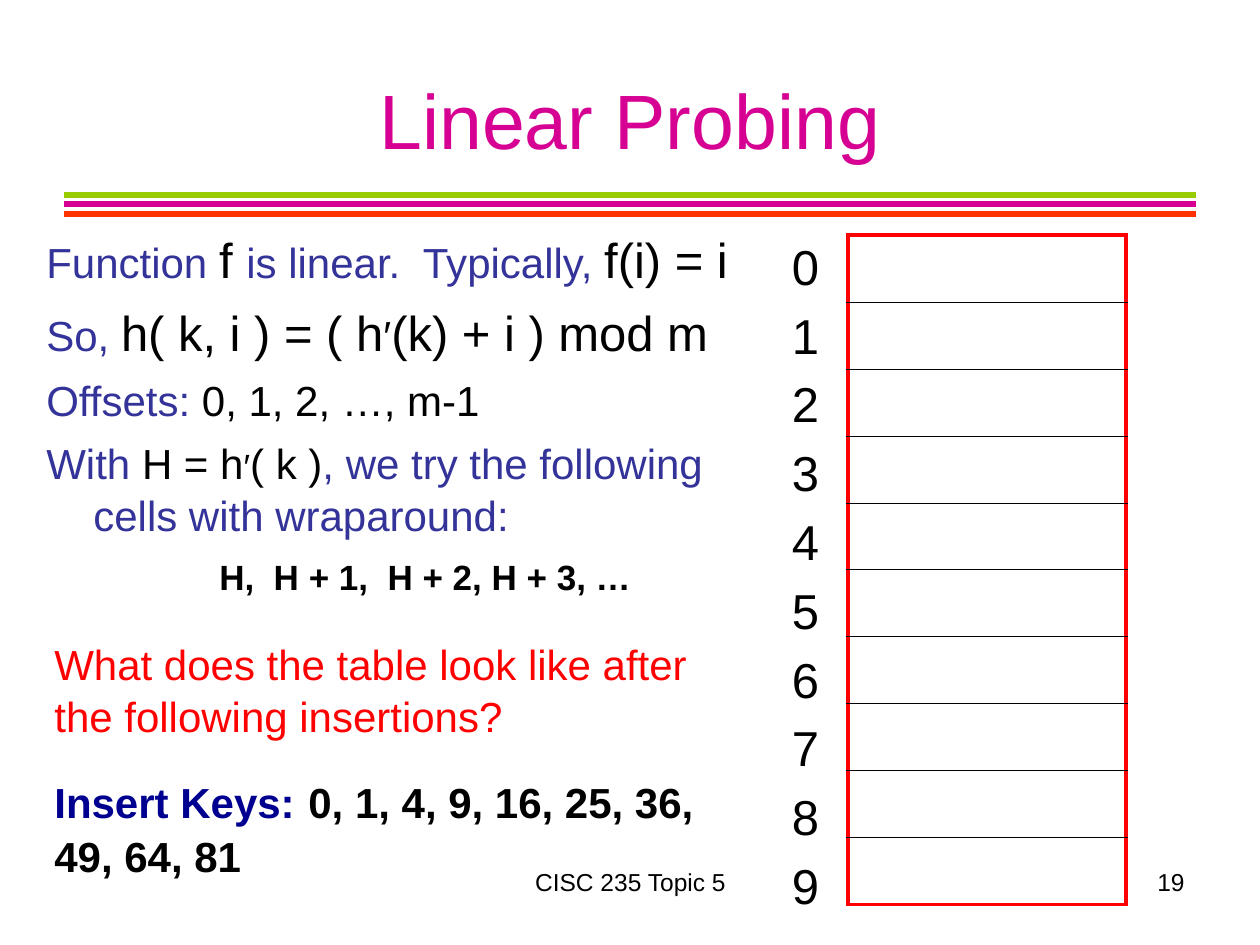
import pptx
import pptx.util
import pptx.dml.color
import pptx.enum.shapes
import pptx.enum.text
import pptx.oxml
import pptx.oxml.ns

PX_PER_INCH = 126
FONT = "Arial"
COLORS = {
    "magenta": "D60093", "orange": "FF3300", "green": "99CC00",
    "indigo": "333399", "navy": "000090", "red": "FF0000", "black": "000000",
}
ALIGN = pptx.enum.text.PP_ALIGN
ANCHOR = pptx.enum.text.MSO_ANCHOR

# Table grid
SLOTS = 10
TABLE_TOP, ROW_H = 235, 67


def px(n):
    return pptx.util.Emu(round(n * 914400 / PX_PER_INCH))


def rgb(name):
    return pptx.dml.color.RGBColor.from_string(COLORS[name])


def set_attrs(obj, values):
    for name, value in values.items():
        setattr(obj, name, value)


def add_runs(p, runs, **fmt):
    """Fill a paragraph with (text, size, color[, bold]) runs."""
    set_attrs(p, fmt)
    for text, size, color, *bold in runs:
        r = p.add_run()
        r.text = text
        set_attrs(r.font, {"name": FONT, "size": pptx.util.Pt(size),
                           "bold": bool(bold and bold[0])})
        r.font.color.rgb = rgb(color)


def set_indent(p, left, first):
    pPr = p._p.get_or_add_pPr()
    pPr.set("marL", str(px(left)))
    pPr.set("indent", str(px(first)))


def add_text(s, box, paragraphs, indents=None, **fmt):
    """Add a wrapped text box; each paragraph is (space before, runs)."""
    tf = s.shapes.add_textbox(*map(px, box)).text_frame
    tf.word_wrap = True
    for i, (before, runs) in enumerate(paragraphs):
        p = tf.paragraphs[0] if i == 0 else tf.add_paragraph()
        add_runs(p, runs, space_before=pptx.util.Pt(before), **fmt)
        if indents:
            set_indent(p, *indents[i])


def add_title(s, text):
    sp = s.shapes.title
    set_attrs(sp, {"left": px(63), "top": px(38), "width": px(1134), "height": px(158)})
    tf = sp.text_frame
    set_attrs(tf, {"vertical_anchor": ANCHOR.MIDDLE, "word_wrap": True,
                   "auto_size": pptx.enum.text.MSO_AUTO_SIZE.NONE})
    add_runs(tf.paragraphs[0], [(text, 44, "magenta")],
             alignment=ALIGN.CENTER, line_spacing=1.04)


def add_rule(s, y, color):
    line = s.shapes.add_connector(pptx.enum.shapes.MSO_CONNECTOR.STRAIGHT,
                                  px(64), px(y), px(1196), px(y))
    line.line.color.rgb = rgb(color)
    line.line.width = pptx.util.Pt(3)
    line._element.spPr.append(pptx.oxml.parse_xml(
        f'<a:effectLst {pptx.oxml.ns.nsdecls("a")}/>'))


def add_column(s, left, width):
    """Add an unstyled one-column table and return its cells."""
    table = s.shapes.add_table(SLOTS, 1, px(left), px(TABLE_TOP), px(width),
                               px(SLOTS * ROW_H)).table
    set_attrs(table, {"first_row": False, "horz_banding": False})
    cells = [table.cell(i, 0) for i in range(SLOTS)]
    for cell in cells:
        cell.fill.background()
        set_attrs(cell, {"margin_left": px(3), "margin_right": px(10),
                         "margin_top": px(6), "margin_bottom": px(4)})
    return cells


def set_borders(cell, borders):
    """Apply (side, color, points) borders, given in L, R, T, B order."""
    tcPr = cell._tc.get_or_add_tcPr()
    for i, (side, color, points) in enumerate(borders):
        tcPr.insert(i, pptx.oxml.parse_xml(
            f'<a:ln{side} {pptx.oxml.ns.nsdecls("a")} w="{pptx.util.Pt(points)}">'
            f'<a:solidFill><a:srgbClr val="{COLORS[color]}"/></a:solidFill>'
            f'</a:ln{side}>'))


def add_hash_table(s):
    # Slot numbers
    for i, cell in enumerate(add_column(s, 789, 59)):
        add_runs(cell.text_frame.paragraphs[0], [(str(i), 28, "black")])
    # Empty slots: red frame with thin dividers
    frame, divider = ("red", 2.21), ("black", 0.45)
    for i, cell in enumerate(add_column(s, 848, 278)):
        top = frame if i == 0 else divider
        bottom = frame if i == SLOTS - 1 else divider
        set_borders(cell, [("L", *frame), ("R", *frame), ("T", *top), ("B", *bottom)])


def main():
    prs = pptx.Presentation()
    prs.slide_width, prs.slide_height = px(1260), px(945)
    s = prs.slides.add_slide(prs.slide_layouts[5])

    # Heading and rules
    for y, color in ((204, "magenta"), (214, "orange"), (195, "green")):
        add_rule(s, y, color)
    add_title(s, "Linear Probing")

    # Footer
    add_text(s, (431, 861, 399, 66), [(0, [("CISC 235 Topic 5", 14, "black")])],
             alignment=ALIGN.CENTER)
    add_text(s, (903, 861, 294, 66), [(0, [("19", 14, "black")])],
             alignment=ALIGN.RIGHT)

    # Explanation
    explanation = [
        (7, [("Function ", 24, "indigo"), ("f ", 28, "black"),
             ("is linear.  Typically, ", 24, "indigo"), ("f(i) = i", 28, "black")]),
        (7, [("So, ", 24, "indigo"), ("h( k, i ) = ( h", 28, "black"),
             ("′", 24, "black"), ("(k) + i ) mod m", 28, "black")]),
        (6, [("Offsets: ", 24, "indigo"), ("0, 1, 2, …, m-1", 24, "black")]),
        (6, [("With ", 24, "indigo"), ("H = h", 24, "black"), ("′", 20, "black"),
             ("( k )", 24, "black"),
             (", we try the following cells with wraparound:", 24, "indigo")]),
        (8, [("H,  H + 1,  H + 2, H + 3, …", 20, "black", True)]),
    ]
    add_text(s, (34, 221, 745, 378), explanation,
             indents=[(47, -47)] * 4 + [(173, 0)], line_spacing=1.04)

    add_hash_table(s)

    # Exercise
    exercise = [
        (15, [("What does the table look like after the following insertions?", 24, "red")]),
        (15, [("Insert Keys:", 24, "navy", True), (" ", 28, "navy"),
              ("0, 1, 4, 9, 16, 25, 36, 49, 64, 81", 24, "black", True)]),
    ]
    add_text(s, (42, 630, 703, 300), exercise, line_spacing=1.04)

    prs.save("out.pptx")


if __name__ == "__main__":
    main()
